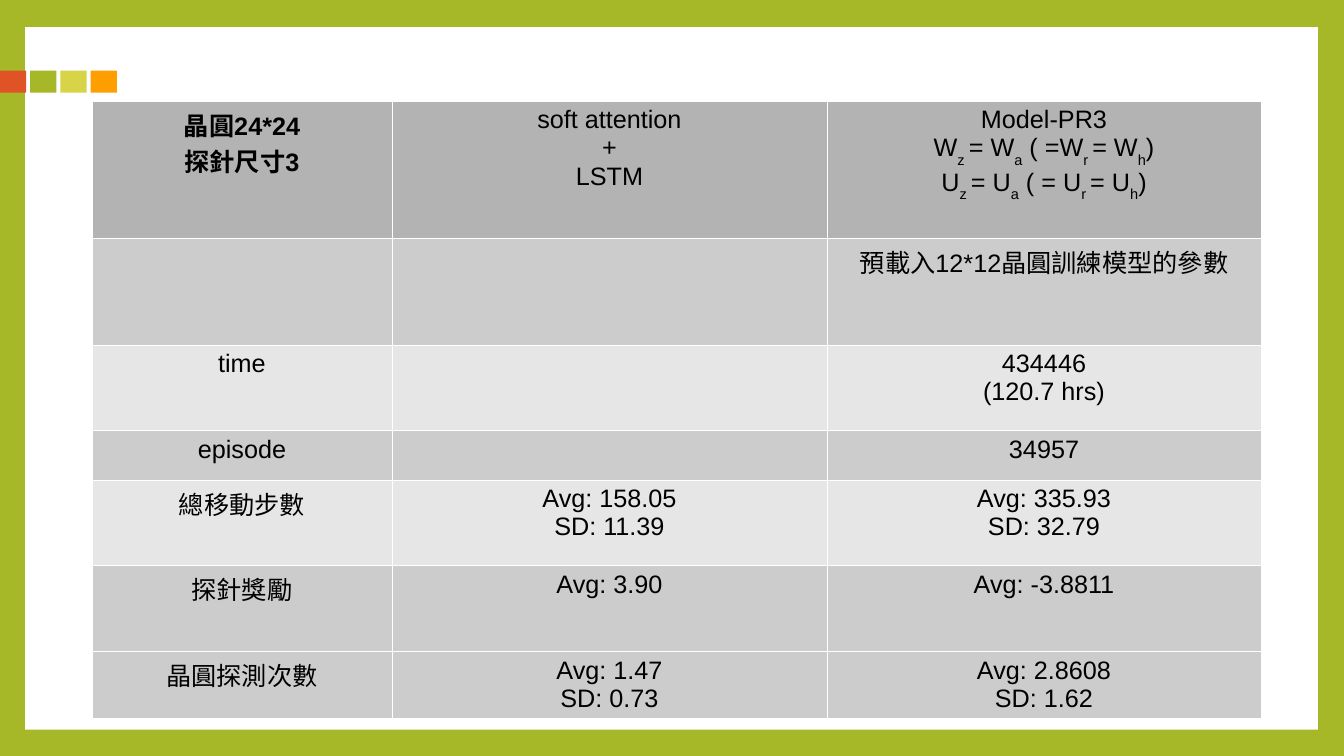
from dataclasses import dataclass

from lxml.etree import SubElement
from pptx import Presentation
from pptx.dml.color import RGBColor
from pptx.enum.shapes import MSO_SHAPE
from pptx.enum.text import PP_ALIGN
from pptx.oxml.ns import qn
from pptx.util import Inches, Pt

# Content: each cell is a list of lines; a tuple alternates normal and subscript text
ROWS = [
    [["晶圓24*24", "探針尺寸3"],
     ["soft attention", "+", "LSTM"],
     ["Model-PR3",
      ("W", "z ", "= W", "a", " ( =W", "r ", "= W", "h", ")"),
      ("U", "z ", "= U", "a", " ( = U", "r ", "= U", "h", ")")]],
    [[], [], ["預載入12*12晶圓訓練模型的參數"]],
    [["time"], [], ["434446", "(120.7 hrs)"]],
    [["episode"], [], ["34957"]],
    [["總移動步數"], ["Avg: 158.05", "SD: 11.39"], ["Avg: 335.93", "SD: 32.79"]],
    [["探針獎勵"], ["Avg: 3.90"], ["Avg: -3.8811"]],
    [["晶圓探測次數"], ["Avg: 1.47", "SD: 0.73"], ["Avg: 2.8608", "SD: 1.62"]],
]
COLUMN_WIDTHS = [2.98, 4.31, 4.31]
ROW_HEIGHTS = [1.36, 1.06, 0.85, 0.49, 0.85, 0.85, 0.66]


@dataclass(frozen=True)
class Theme:
    font: str = "Arial"
    size: float = 18
    text: str = "000000"
    frame: str = "A6B727"
    panel: str = "FFFFFF"
    border: str = "FFFFFF"
    border_width: float = 0.06
    header: str = "B3B3B3"
    dark: str = "CCCCCC"
    light: str = "E6E6E6"
    accents: tuple = ("DF5327", "A6B727", "D7D447", "FE9E00")


THEME = Theme()
ROW_FILLS = [THEME.header, THEME.dark, THEME.light, THEME.dark,
             THEME.light, THEME.dark, THEME.dark]


def add_block(page, left, top, width, height, color):
    block = page.shapes.add_shape(MSO_SHAPE.RECTANGLE, Inches(left), Inches(top),
                                  Inches(width), Inches(height))
    block.shadow.inherit = False
    block.fill.solid()
    block.fill.fore_color.rgb = RGBColor.from_string(color)
    block.line.fill.background()


def add_borders(cell):
    properties = cell._tc.get_or_add_tcPr()
    for position, side in enumerate(("lnL", "lnR", "lnT", "lnB")):
        line = properties.makeelement(qn(f"a:{side}"), {"w": str(Pt(THEME.border_width))})
        fill = SubElement(line, qn("a:solidFill"))
        SubElement(fill, qn("a:srgbClr"), val=THEME.border)
        properties.insert(position, line)


def write_lines(cell, lines, bold):
    frame = cell.text_frame
    for number, line in enumerate(lines):
        para = frame.add_paragraph() if number else frame.paragraphs[0]
        para.alignment = PP_ALIGN.CENTER
        parts = (line,) if isinstance(line, str) else line
        for index, part in enumerate(parts):
            span = para.add_run()
            span.text = part
            span.font.name = THEME.font
            span.font.size = Pt(THEME.size)
            span.font.bold = bold
            span.font.color.rgb = RGBColor.from_string(THEME.text)
            if index % 2:
                span._r.get_or_add_rPr().set("baseline", "-33000")


def add_results(page):
    holder = page.shapes.add_table(
        len(ROWS), len(COLUMN_WIDTHS), Inches(0.91), Inches(1),
        Inches(sum(COLUMN_WIDTHS)), Inches(sum(ROW_HEIGHTS)))
    table = holder.table
    for column, width in zip(table.columns, COLUMN_WIDTHS):
        column.width = Inches(width)
    for row, height in zip(table.rows, ROW_HEIGHTS):
        row.height = Inches(height)
    for row_index, (row, color) in enumerate(zip(ROWS, ROW_FILLS)):
        for column_index, lines in enumerate(row):
            cell = table.cell(row_index, column_index)
            cell.fill.solid()
            cell.fill.fore_color.rgb = RGBColor.from_string(color)
            add_borders(cell)
            write_lines(cell, lines, bold=row_index == column_index == 0)


def main():
    deck = Presentation()
    deck.slide_width, deck.slide_height = Inches(13.33), Inches(7.5)
    page = deck.slides.add_slide(deck.slide_layouts[6])

    # Green frame with white panel
    page.background.fill.solid()
    page.background.fill.fore_color.rgb = RGBColor.from_string(THEME.frame)
    add_block(page, 0.25, 0.27, 12.82, 6.97, THEME.panel)

    # Accent squares
    for index, color in enumerate(THEME.accents):
        add_block(page, index * 0.3, 0.7, 0.26, 0.22, color)

    # Results table
    add_results(page)
    deck.save("out.pptx")


if __name__ == "__main__":
    main()
